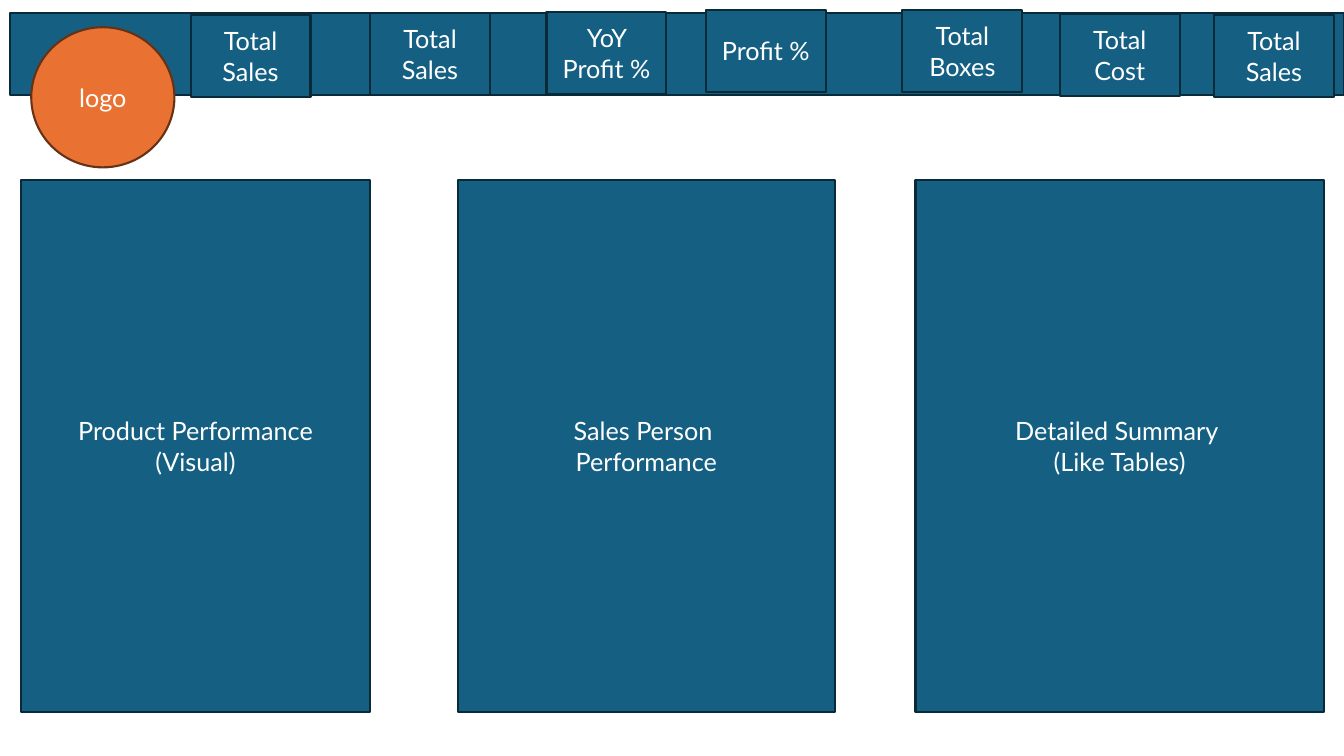
from pptx import Presentation
from pptx.dml.color import RGBColor
from pptx.enum.shapes import MSO_SHAPE as Preset
from pptx.enum.text import MSO_ANCHOR as Anchor, PP_ALIGN as Align
from pptx.util import Inches, Pt

BLUE = RGBColor(0x15, 0x60, 0x82)
NAVY = RGBColor(0x09, 0x2A, 0x39)
ORANGE = RGBColor(0xE9, 0x71, 0x32)
BROWN = RGBColor(0x66, 0x32, 0x16)
WHITE = RGBColor(0xFF, 0xFF, 0xFF)

SLIDE_WIDTH, SLIDE_HEIGHT = 13.33, 7.5
CARD_WIDTH = 1.19

# Left and top offsets of each card inside the header band
CARDS = [
    ("Total Sales", 1.79, 0.02),
    ("Total Sales", 3.57, 0),
    ("YoY Profit %", 5.32, -0.01),
    ("Profit %", 6.9, -0.03),
    ("Total Boxes", 8.85, -0.03),
    ("Total Cost", 10.41, 0.01),
    ("Total Sales", 11.94, 0.02),
]

# Left offset and width of each panel inside the body
PANELS = [
    (["Product Performance", "(Visual)"], 0, 3.46),
    (["Sales Person ", "Performance"], 4.33, 3.74),
    (["Detailed Summary ", "(Like Tables)"], 8.87, 4.05),
]


def write_text(shape, lines, font="Lato", size=18, color=WHITE):
    frame = shape.text_frame
    frame.word_wrap = True
    frame.vertical_anchor = Anchor.MIDDLE
    for number, line in enumerate(lines):
        para = frame.add_paragraph() if number else frame.paragraphs[0]
        para.alignment = Align.CENTER
        span = para.add_run()
        span.text = line
        span.font.name = font
        span.font.size = Pt(size)
        span.font.color.rgb = color


def add_block(page, box, lines=(), preset=Preset.RECTANGLE, fill=BLUE, outline=NAVY):
    shape = page.shapes.add_shape(preset, *map(Inches, box))
    shape.shadow.inherit = False
    shape.fill.solid()
    shape.fill.fore_color.rgb = fill
    shape.line.color.rgb = outline
    shape.line.width = Pt(1.5)
    if lines:
        write_text(shape, lines)


def add_header(page, box):
    left, top, width, height = box
    add_block(page, box)
    # Key figures
    for label, across, down in CARDS:
        add_block(page, (left + across, top + down, CARD_WIDTH, height), [label])
    # Round badge hanging below the band
    add_block(page, (left + 0.21, top + 0.14, 1.42, 1.39), ["logo"],
              preset=Preset.OVAL, fill=ORANGE, outline=BROWN)


def add_panels(page, box):
    left, top, width, height = box
    for lines, across, panel_width in PANELS:
        add_block(page, (left + across, top, panel_width, height), lines)


def main():
    deck = Presentation()
    deck.slide_width = Inches(SLIDE_WIDTH)
    deck.slide_height = Inches(SLIDE_HEIGHT)
    page = deck.slides.add_slide(deck.slide_layouts[6])
    add_header(page, (0.1, 0.13, SLIDE_WIDTH - 0.1, 0.81))
    add_panels(page, (0.21, 1.79, 12.92, 5.27))
    deck.save("out.pptx")


if __name__ == "__main__":
    main()
